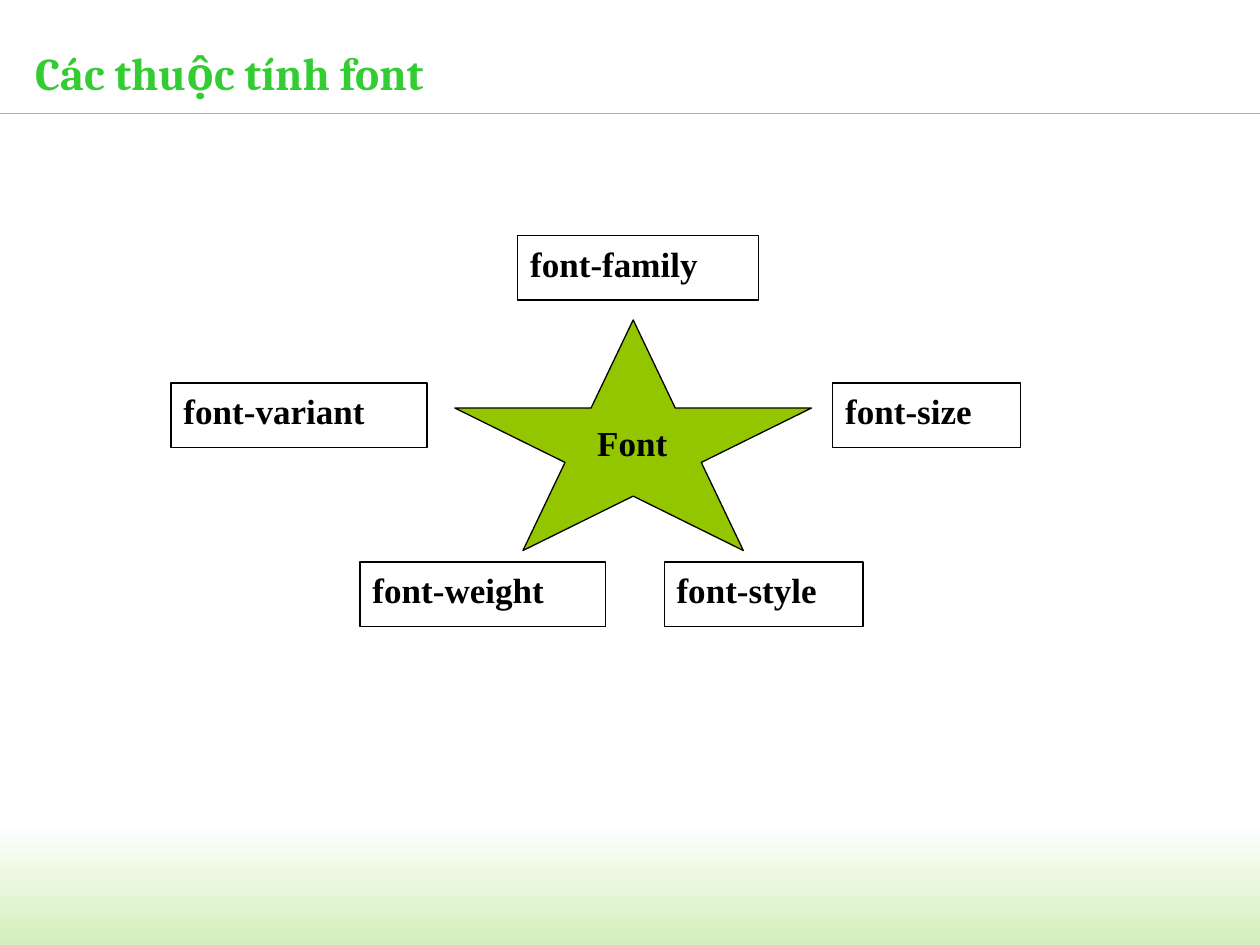
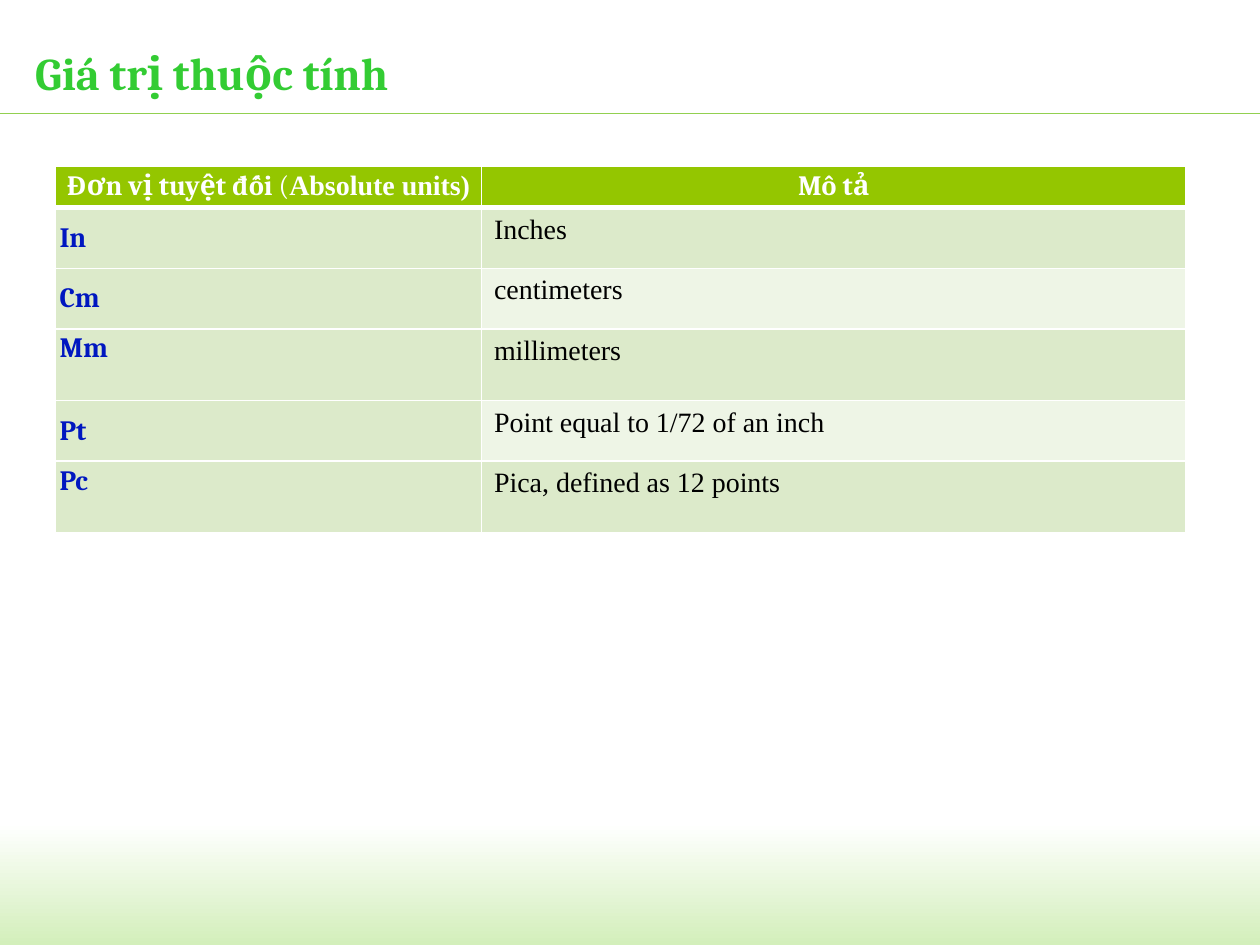
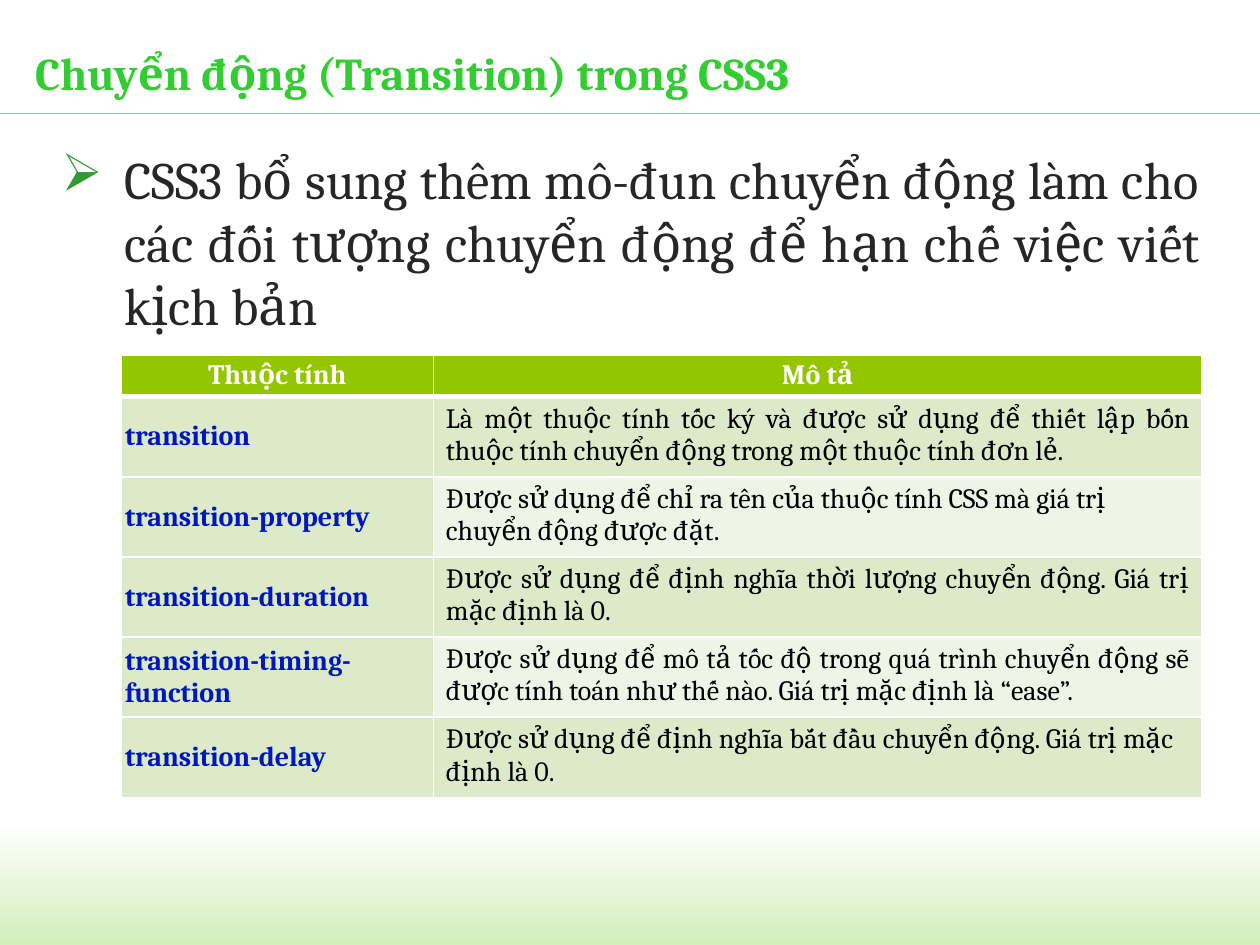
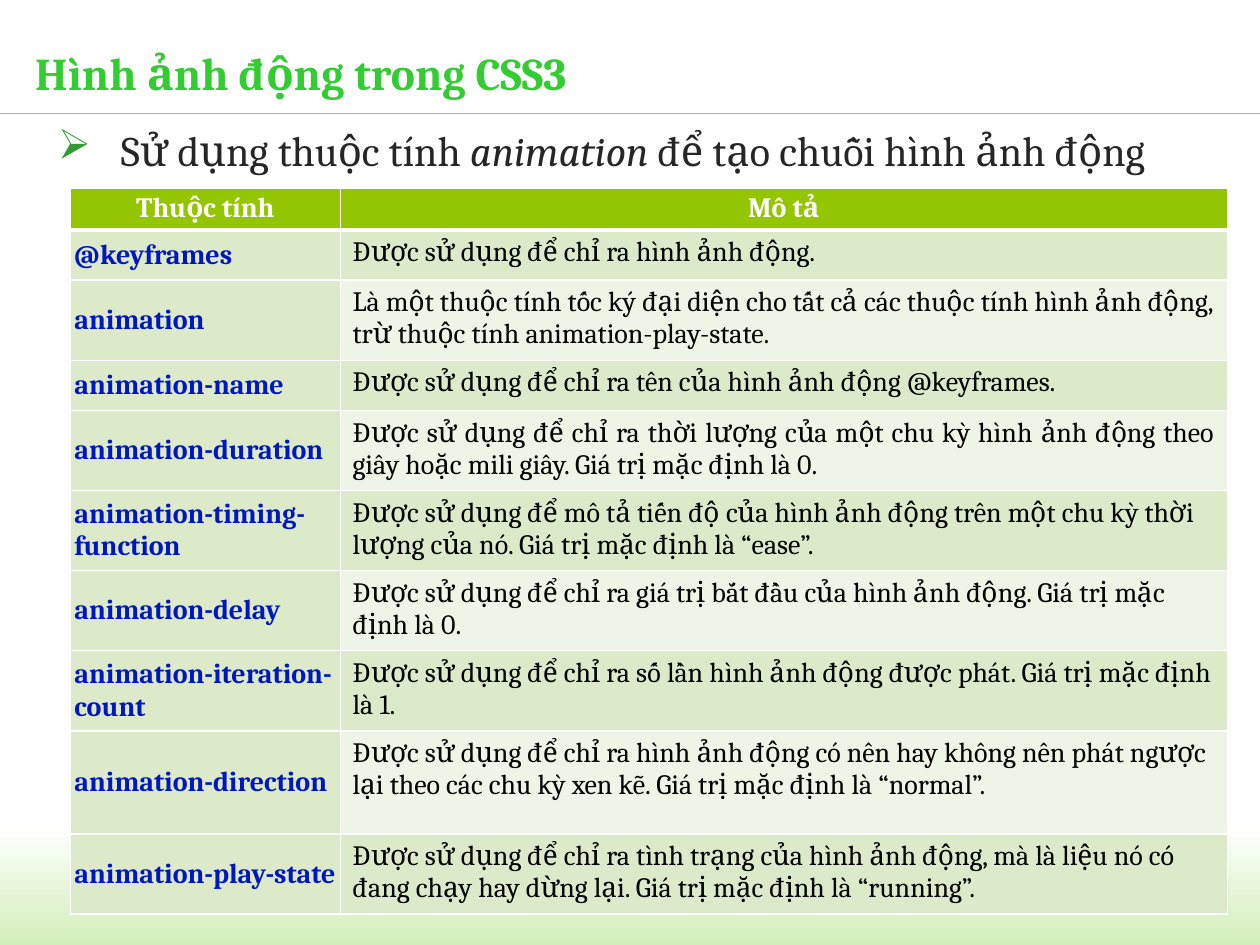
from dataclasses import dataclass

from lxml import etree
from pptx import Presentation
from pptx.dml.color import RGBColor
from pptx.enum import shapes, text
from pptx.oxml import ns
from pptx.util import Cm, Pt


@dataclass(frozen=True)
class Theme:
    serif: str = "Cambria"
    roman: str = "Times New Roman"
    title: str = "33CC33"
    rule: str = "92D050"
    band: str = "D3EFBB"
    accent: str = "94C600"
    odd_row: str = "DCEACA"
    even_row: str = "EEF5E6"
    label: str = "0017C0"
    body: str = "262626"
    bullet: str = "339933"
    black: str = "000000"
    white: str = "FFFFFF"
    title_size: int = 26
    diagram_size: int = 20
    table_size: int = 16


theme = Theme()
rgb = RGBColor.from_string
center, justify = text.PP_ALIGN.CENTER, text.PP_ALIGN.JUSTIFY
left = text.PP_ALIGN.LEFT
top, middle = text.MSO_ANCHOR.TOP, text.MSO_ANCHOR.MIDDLE


def add_run(paragraph, words, size, color, font=theme.serif, bold=False, italic=False):
    run = paragraph.add_run()
    run.text = words
    run.font.name, run.font.size = font, Pt(size)
    run.font.bold, run.font.italic = bold, italic
    run.font.color.rgb = rgb(color)


def set_insets(box, horizontal, vertical, anchor):
    """Set the margins and anchor of a text frame or a table cell."""
    box.margin_left = box.margin_right = Cm(horizontal)
    box.margin_top = box.margin_bottom = Cm(vertical)
    box.vertical_anchor = anchor


presentation = Presentation()
presentation.slide_width, presentation.slide_height = Cm(25.4), Cm(19.05)

# Shared band, rule and title
titles = [
    "Các thuộc tính font",
    "Giá trị thuộc tính",
    "Chuyển động (Transition) trong CSS3",
    "Hình ảnh động trong CSS3",
]
slides = []
for title in titles:
    slide = presentation.slides.add_slide(presentation.slide_layouts[6])
    slides.append(slide)

    band = slide.shapes.add_shape(
        shapes.MSO_SHAPE.RECTANGLE, Cm(-0.08), Cm(16.59), Cm(25.48), Cm(2.46))
    band.shadow.inherit = False
    band.line.fill.background()
    band.fill.gradient()
    band.fill.gradient_angle = 270
    for stop, color in zip(band.fill.gradient_stops, (theme.white, theme.band)):
        stop.color.rgb = rgb(color)

    rule = slide.shapes.add_connector(
        shapes.MSO_CONNECTOR.STRAIGHT, 0, Cm(2.29), Cm(25.4), Cm(2.29))
    rule.line.color.rgb = rgb(theme.rule)
    rule.line.width = Pt(0.75)
    etree.SubElement(rule.element.spPr, ns.qn("a:effectLst"))

    frame = slide.shapes.add_textbox(Cm(0.71), Cm(0.64), Cm(23.8), Cm(1.63)).text_frame
    frame.word_wrap = True
    set_insets(frame, 0, 0, middle)
    add_run(frame.paragraphs[0], title, theme.title_size, theme.title, bold=True)

# Star of font properties
star_slide = slides[0]
star = star_slide.shapes.add_shape(
    shapes.MSO_SHAPE.STAR_5_POINT, Cm(9.17), Cm(6.45), Cm(7.19), Cm(4.65))
star.shadow.inherit = False
star.fill.solid()
star.fill.fore_color.rgb = rgb(theme.accent)
star.line.color.rgb = rgb(theme.black)
star.line.width = Pt(0.75)

font_properties = [
    ("font-family", 10.44, 4.75, 4.85),
    ("font-size", 16.79, 7.72, 3.78),
    ("font-style", 13.39, 11.33, 4.01),
    ("font-weight", 7.26, 11.33, 4.95),
    ("font-variant", 3.45, 7.72, 5.16),
]
labels = []
for name, x, y, width in font_properties:
    box = star_slide.shapes.add_shape(
        shapes.MSO_SHAPE.RECTANGLE, Cm(x), Cm(y), Cm(width), Cm(1.3))
    box.shadow.inherit = False
    box.fill.background()
    box.line.color.rgb = rgb(theme.black)
    box.line.width = Pt(0.75)
    labels.append((box, name))
star_label = star_slide.shapes.add_textbox(Cm(11.79), Cm(8.36), Cm(2.46), Cm(1.27))
labels.append((star_label, "Font"))
for box, name in labels:
    frame = box.text_frame
    frame.word_wrap = True
    set_insets(frame, 0.25, 0.13, top)
    frame.paragraphs[0].alignment = left
    add_run(frame.paragraphs[0], name, theme.diagram_size, theme.black, theme.roman, bold=True)

# Bulleted introductions: slide, place, size, runs with their italics
introductions = [
    (slides[2], 1.24, 2.97, 4.09, 30, [
        ("CSS3 bổ sung thêm mô-đun chuyển động làm cho các đối tượng chuyển động "
         "để hạn chế việc viết kịch bản", False)]),
    (slides[3], 1.17, 2.51, 1.45, 24, [
        ("Sử dụng thuộc tính ", False),
        ("animation ", True),
        ("để tạo chuỗi hình ảnh động", False)]),
]
for slide, x, y, height, size, runs in introductions:
    frame = slide.shapes.add_textbox(Cm(x), Cm(y), Cm(22.94), Cm(height)).text_frame
    frame.word_wrap = True
    set_insets(frame, 0, 0, top)
    paragraph = frame.paragraphs[0]
    paragraph.alignment = justify
    for words, italic in runs:
        add_run(paragraph, words, size, theme.body, italic=italic)
    properties = paragraph._p.get_or_add_pPr()
    properties.set("marL", str(Cm(1.27)))
    properties.set("indent", str(Cm(-1.27)))
    bullet_color = etree.SubElement(properties, ns.qn("a:buClr"))
    etree.SubElement(bullet_color, ns.qn("a:srgbClr"), val=theme.bullet)
    etree.SubElement(properties, ns.qn("a:buChar"), char="➢")

# Tables: each row holds label, description, height, alignment and label anchor
unit_rows = [
    ("In", "Inches", 1.22, justify, middle),
    ("Cm", "centimeters", 1.22, justify, middle),
    ("Mm", "millimeters", 1.45, justify, top),
    ("Pt", "Point equal to 1/72 of an inch", 1.22, left, middle),
    ("Pc", "Pica, defined as 12 points", 1.45, left, top),
]
transition_rows = [
    ("transition",
     "Là một thuộc tính tốc ký và được sử dụng để thiết lập bốn thuộc tính chuyển động "
     "trong một thuộc tính đơn lẻ.", 1.55, justify, middle),
    ("transition-property",
     "Được sử dụng để chỉ ra tên của thuộc tính CSS mà giá trị chuyển động được đặt.",
     1.55, left, middle),
    ("transition-duration",
     "Được sử dụng để định nghĩa thời lượng chuyển động. Giá trị mặc định là 0.",
     1.55, justify, middle),
    ("transition-timing-function",
     "Được sử dụng để mô tả tốc độ trong quá trình chuyển động sẽ được tính toán "
     "như thế nào. Giá trị mặc định là “ease”.", 1.55, justify, middle),
    ("transition-delay",
     "Được sử dụng để định nghĩa bắt đầu chuyển động. Giá trị mặc định là 0.",
     1.55, left, middle),
]
animation_rows = [
    ("@keyframes", "Được sử dụng để chỉ ra hình ảnh động.", 1.01, justify, middle),
    ("animation",
     "Là một thuộc tính tốc ký đại diện cho tất cả các thuộc tính hình ảnh động, "
     "trừ thuộc tính animation-play-state.", 1.55, left, middle),
    ("animation-name",
     "Được sử dụng để chỉ ra tên của hình ảnh động @keyframes.", 1.01, justify, middle),
    ("animation-duration",
     "Được sử dụng để chỉ ra thời lượng của một chu kỳ hình ảnh động theo giây "
     "hoặc mili giây. Giá trị mặc định là 0.", 1.55, justify, middle),
    ("animation-timing-function",
     "Được sử dụng để mô tả tiến độ của hình ảnh động trên một chu kỳ thời lượng "
     "của nó. Giá trị mặc định là “ease”.", 1.55, left, middle),
    ("animation-delay",
     "Được sử dụng để chỉ ra giá trị bắt đầu của hình ảnh động. "
     "Giá trị mặc định là 0.", 1.55, left, middle),
    ("animation-iteration-count",
     "Được sử dụng để chỉ ra số lần hình ảnh động được phát. "
     "Giá trị mặc định là 1.", 1.55, left, middle),
    ("animation-direction",
     "Được sử dụng để chỉ ra hình ảnh động có nên hay không nên phát ngược lại "
     "theo các chu kỳ xen kẽ. Giá trị mặc định là “normal”.", 2.08, left, middle),
    ("animation-play-state",
     "Được sử dụng để chỉ ra tình trạng của hình ảnh động, mà là liệu nó có đang chạy "
     "hay dừng lại. Giá trị mặc định là “running”.", 1.55, left, middle),
]
unit_heading = [
    ("Đơn vị tuyệt đối ", theme.serif, True),
    ("(", theme.serif, False),
    ("Absolute units)", theme.roman, True),
]
property_heading = [("Thuộc tính", theme.serif, True)]
description_heading = [("Mô tả", theme.serif, True)]

tables = [
    (slides[1], 1.12, 3.35, (8.59, 14.2), unit_heading, unit_rows, theme.roman),
    (slides[2], 2.44, 7.16, (6.3, 15.49), property_heading, transition_rows, theme.serif),
    (slides[3], 1.42, 3.8, (5.44, 17.88), property_heading, animation_rows, theme.serif),
]
header_height = 0.79
for slide, x, y, widths, heading, rows, description_font in tables:
    heights = [header_height] + [row[2] for row in rows]
    table = slide.shapes.add_table(
        len(heights), 2, Cm(x), Cm(y), Cm(sum(widths)), Cm(sum(heights))).table
    for column, width in zip(table.columns, widths):
        column.width = Cm(width)

    for row_number, height in enumerate(heights):
        table.rows[row_number].height = Cm(height)
        for cell in table.rows[row_number].cells:
            cell_properties = cell._tc.get_or_add_tcPr()
            for side in "LRTB":
                under_header = (row_number, side) in ((0, "B"), (1, "T"))
                border = etree.SubElement(
                    cell_properties, ns.qn(f"a:ln{side}"), w=str(Pt(3 if under_header else 1)))
                border_fill = etree.SubElement(border, ns.qn("a:solidFill"))
                etree.SubElement(border_fill, ns.qn("a:srgbClr"), val=theme.white)
            cell.fill.solid()

    for cell, runs in zip(table.rows[0].cells, (heading, description_heading)):
        cell.fill.fore_color.rgb = rgb(theme.accent)
        set_insets(cell, 0.08, 0.08, top)
        paragraph = cell.text_frame.paragraphs[0]
        paragraph.alignment = center
        for words, font, bold in runs:
            add_run(paragraph, words, theme.table_size, theme.white, font, bold)

    for row_number, (label, description, _, alignment, anchor) in enumerate(rows, 1):
        label_cell, description_cell = table.rows[row_number].cells
        label_cell.fill.fore_color.rgb = rgb(theme.odd_row)
        set_insets(label_cell, 0.08, 0.08, anchor)
        add_run(label_cell.text_frame.paragraphs[0], label,
                theme.table_size, theme.label, bold=True)

        row_color = theme.odd_row if row_number % 2 else theme.even_row
        description_cell.fill.fore_color.rgb = rgb(row_color)
        set_insets(description_cell, 0.25, 0.13, top)
        paragraph = description_cell.text_frame.paragraphs[0]
        paragraph.alignment = alignment
        add_run(paragraph, description, theme.table_size, theme.black, description_font)

presentation.save("out.pptx")
